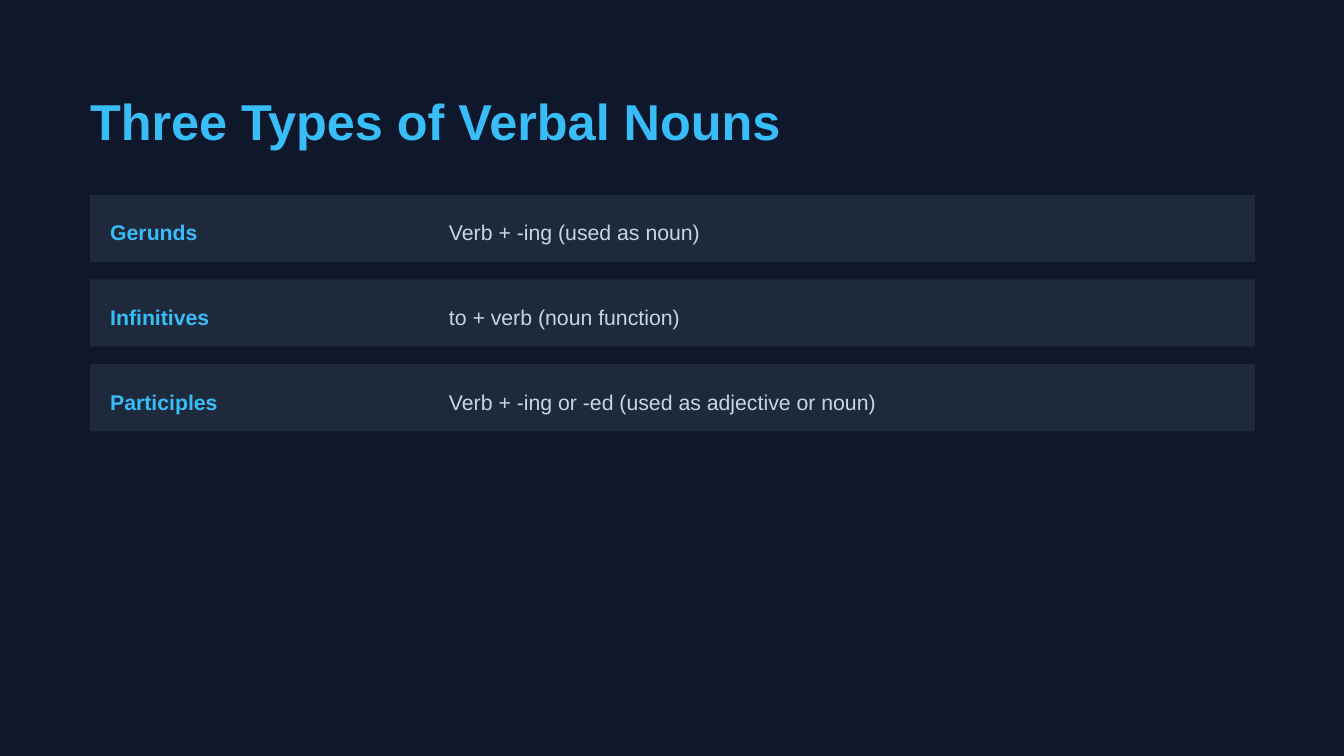
from pptx import Presentation
from pptx.dml.color import RGBColor
from pptx.enum import shapes, text
from pptx.util import Inches, Pt

COLOURS = {
    "background": "0F172A",
    "row": "1E293B",
    "accent": "38BDF8",
    "body": "CBD5E1",
}
VERBALS = [
    ("Gerunds", "Verb + -ing (used as noun)"),
    ("Infinitives", "to + verb (noun function)"),
    ("Participles", "Verb + -ing or -ed (used as adjective or noun)"),
]
MARGIN = 0.67
ROW_TOP = 1.45
ROW_STEP = 0.63


class SlideBuilder:
    font = "Arial"

    def __init__(self, page):
        self.page = page

    def colour(self, name):
        return RGBColor.from_string(COLOURS[name])

    def background(self, name):
        fill = self.page.background.fill
        fill.solid()
        fill.fore_color.rgb = self.colour(name)

    def panel(self, left, top, width, height, fill):
        box = self.page.shapes.add_shape(
            shapes.MSO_SHAPE.RECTANGLE,
            Inches(left), Inches(top), Inches(width), Inches(height))
        box.shadow.inherit = False
        box.fill.solid()
        box.fill.fore_color.rgb = self.colour(fill)
        box.line.fill.background()

    def label(self, words, left, top, width, height, colour,
              size=11.4, spacing=18.2, bold=False):
        box = self.page.shapes.add_textbox(
            Inches(left), Inches(top), Inches(width), Inches(height))
        frame = box.text_frame
        frame.word_wrap = True
        frame.vertical_anchor = text.MSO_ANCHOR.TOP
        frame.margin_left = frame.margin_right = 0
        frame.margin_top = frame.margin_bottom = 0
        frame.text = words
        para = frame.paragraphs[0]
        para.line_spacing = Pt(spacing)
        span = para.runs[0]
        span.font.name = self.font
        span.font.size = Pt(size)
        span.font.bold = bold
        span.font.color.rgb = self.colour(colour)


def main():
    deck = Presentation()
    deck.slide_width = Inches(10)
    deck.slide_height = Inches(10) * 9 // 16
    builder = SlideBuilder(deck.slides.add_slide(deck.slide_layouts[6]))
    builder.background("background")
    for index in range(len(VERBALS)):
        builder.panel(MARGIN, ROW_TOP + index * ROW_STEP, 8.67, 0.5, "row")
    builder.label("Three Types of Verbal Nouns", MARGIN, 0.67, 8.84, 0.45,
                  "accent", size=27, spacing=32.4, bold=True)
    for index, (term, form) in enumerate(VERBALS):
        top = ROW_TOP + 0.12 + index * ROW_STEP
        builder.label(term, 0.82, top, 2.57, 0.25, "accent", bold=True)
        builder.label(form, 3.34, top, 5.99, 0.25, "body")
    deck.save("out.pptx")


if __name__ == "__main__":
    main()
